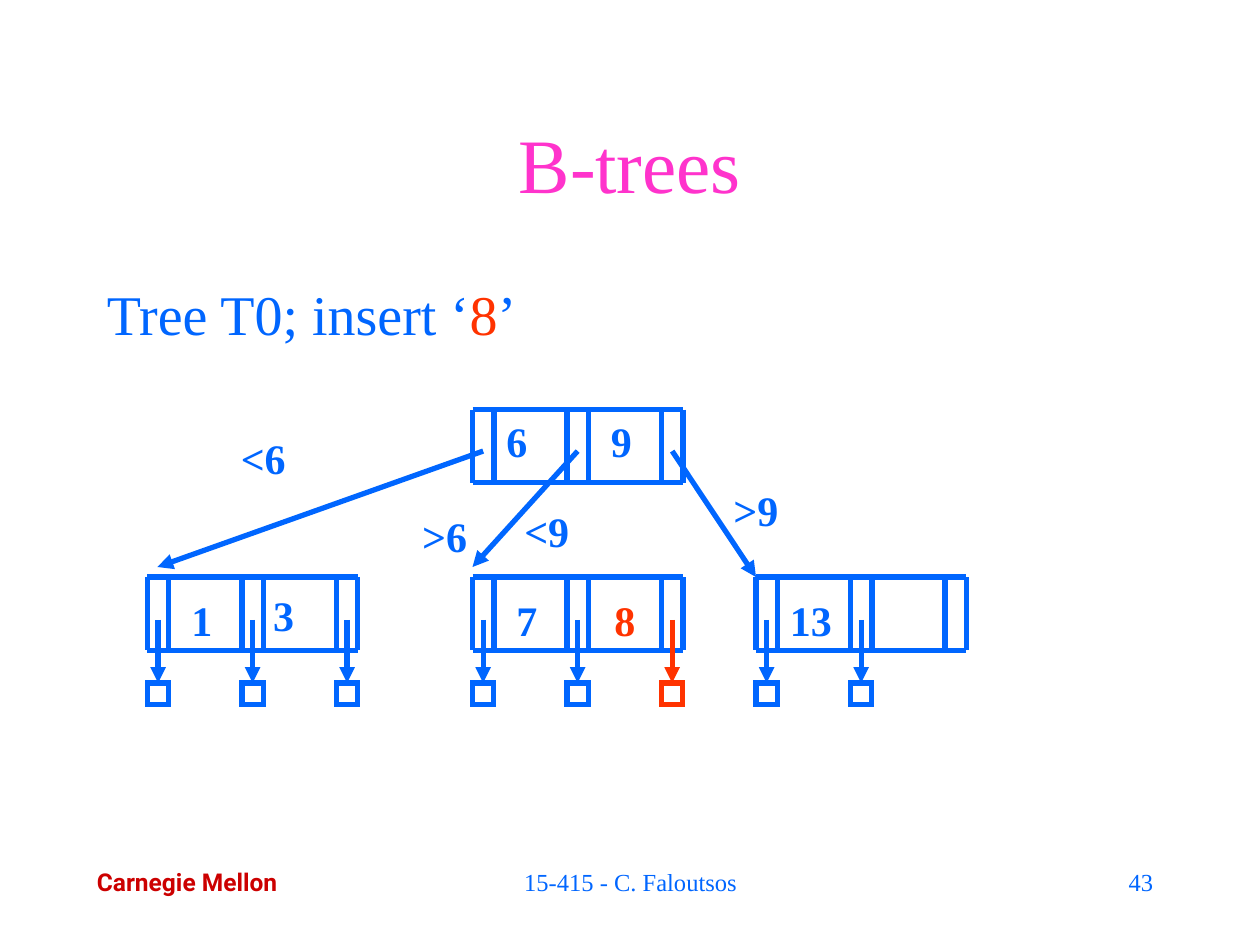
from dataclasses import dataclass

from lxml.etree import SubElement
from pptx import Presentation
from pptx.dml.color import RGBColor
from pptx.enum.shapes import MSO_CONNECTOR as Line, MSO_SHAPE as Shape
from pptx.enum.text import MSO_ANCHOR as Anchor, PP_ALIGN as Align
from pptx.oxml.ns import qn
from pptx.util import Inches, Pt


@dataclass(frozen=True)
class Theme:
    blue: str = "0066FF"
    red: str = "FF3300"
    pink: str = "FF33CC"
    crimson: str = "CC0000"
    white: str = "FFFFFF"
    serif: str = "Times New Roman"
    sans: str = "Roboto"
    title: int = 44
    body: int = 32
    key: int = 24
    footer: int = 14
    stroke: int = 3


THEME = Theme()

# Node geometry: three narrow pointer slots with two key cells between them
SLOT = Inches(0.17)
PITCH = Inches(0.75)
NODE_HEIGHT = Inches(0.58)
KEY_HEIGHT = Inches(0.5)
POINTER_DROP = Inches(0.34)
RECORD_DROP = Inches(0.84)
SLOTS = [PITCH * i for i in range(3)]
NODE_WIDTH = SLOTS[-1] + SLOT


def write(frame, runs, size=THEME.key, color=THEME.blue, font=THEME.serif,
          bold=False, align=Align.LEFT, anchor=Anchor.TOP, wrap=True):
    """Fill a text frame; runs is a string or a list of (text, color)."""
    frame.word_wrap = wrap
    frame.vertical_anchor = anchor
    frame.margin_left = frame.margin_right = Inches(0.1)
    frame.margin_top = frame.margin_bottom = Inches(0.05)
    paragraph = frame.paragraphs[0]
    paragraph.alignment = align
    paragraph.space_before = Pt(0)
    for words, run_color in [(runs, color)] if isinstance(runs, str) else runs:
        run = paragraph.add_run()
        run.text = words
        run.font.size = Pt(size)
        run.font.name = font
        run.font.bold = bold
        run.font.color.rgb = RGBColor.from_string(run_color)


def add_text(slide, box, runs, **style):
    write(slide.shapes.add_textbox(*box).text_frame, runs, **style)


def add_line(slide, start, end, color=THEME.blue, arrow=False):
    line = slide.shapes.add_connector(Line.STRAIGHT, *start, *end)
    line.line.color.rgb = RGBColor.from_string(color)
    line.line.width = Pt(THEME.stroke)
    if arrow:
        SubElement(line.line._get_or_add_ln(), qn("a:tailEnd"), type="triangle")
    SubElement(line._element.spPr, qn("a:effectLst"))
    return line


def add_title(slide, box):
    title = slide.shapes.title
    title.left, title.top, title.width, title.height = box
    write(title.text_frame, "B-trees", size=THEME.title, color=THEME.pink,
          align=Align.CENTER, anchor=Anchor.MIDDLE)


def add_node(slide, left, top, keys):
    """Draw one node; keys holds (text, x offset, y offset, width, color)."""
    right, bottom = left + NODE_WIDTH, top + NODE_HEIGHT
    for slot in SLOTS:
        for x in (left + slot, left + slot + SLOT):
            add_line(slide, (x, top), (x, bottom))
    for y in (top, bottom):
        add_line(slide, (left, y), (right, y))
    for key, dx, dy, width, color in keys:
        box = (left + Inches(dx), top + Inches(dy), Inches(width), KEY_HEIGHT)
        add_text(slide, box, key, color=color, bold=True, align=Align.CENTER,
                 wrap=False)


def add_records(slide, left, top, colors):
    """Hang one record below each used pointer slot of a leaf."""
    for slot, color in zip(SLOTS, colors):
        x = left + slot
        record = slide.shapes.add_shape(Shape.RECTANGLE, x, top + RECORD_DROP,
                                        SLOT, SLOT)
        record.shadow.inherit = False
        record.fill.solid()
        record.fill.fore_color.rgb = RGBColor.from_string(THEME.white)
        record.line.color.rgb = RGBColor.from_string(color)
        record.line.width = Pt(THEME.stroke)
        # Square corners
        SubElement(record.line._get_or_add_ln(), qn("a:miter"), lim="800000")
        middle = x + SLOT // 2
        pointer = add_line(slide, (middle, top + POINTER_DROP),
                           (middle, top + RECORD_DROP), color, arrow=True)
        pointer.end_connect(record, 0)


def add_tree(slide, left, top):
    blue, red = THEME.blue, THEME.red
    root_left, leaf_top = left + Inches(2.58), top + Inches(1.33)

    # Root
    add_node(slide, root_left, top,
             [("6", 0.17, 0, 0.36, blue), ("9", 1, 0, 0.36, blue)])

    # Leaves: x offset, keys, record colors
    leaves = [
        (0, [("1", 0.25, 0.09, 0.36, blue), ("3", 0.9, 0.05, 0.36, blue)],
         [blue] * 3),
        (2.58, [("7", 0.25, 0.09, 0.36, blue), ("8", 1, 0.09, 0.42, red)],
         [blue, blue, red]),
        (4.83, [("13", 0.17, 0.09, 0.53, blue)], [blue] * 2),
    ]
    for dx, keys, colors in leaves:
        add_node(slide, left + Inches(dx), leaf_top, keys)
        add_records(slide, left + Inches(dx), leaf_top, colors)

    # Branches from the root slots to the leaves
    ends = [(0.08, 1.25), (2.58, 1.25), (4.83, 1.33)]
    for slot, (dx, dy) in zip(SLOTS, ends):
        add_line(slide, (root_left + slot + SLOT // 2, top + Inches(0.33)),
                 (left + Inches(dx), top + Inches(dy)), arrow=True)

    # Branch conditions
    conditions = [("<6", 0.62, 0.13), (">6", 2.06, 0.75),
                  ("<9", 2.87, 0.71), (">9", 4.53, 0.55)]
    for condition, dx, dy in conditions:
        box = (left + Inches(dx), top + Inches(dy), Inches(0.6), KEY_HEIGHT)
        add_text(slide, box, condition, bold=True, align=Align.CENTER, wrap=False)


def add_footer(slide, top):
    parts = [
        ("Carnegie Mellon", 0.67, 1.81, dict(color=THEME.crimson, bold=True,
                                             font=THEME.sans, wrap=False)),
        ("15-415 - C. Faloutsos", 3.42, 3.17, dict(align=Align.CENTER)),
        ("43", 7.17, 2.08, dict(align=Align.RIGHT)),
    ]
    for words, left, width, style in parts:
        add_text(slide, (Inches(left), top, Inches(width), Inches(0.34)), words,
                 size=THEME.footer, **style)


def main():
    deck = Presentation()
    deck.slide_width, deck.slide_height = Inches(10), Inches(7.5)
    slide = deck.slides.add_slide(deck.slide_layouts[5])

    add_title(slide, (Inches(0.75), Inches(0.67), Inches(8.5), Inches(1.25)))
    add_text(slide, (Inches(0.75), Inches(2.17), Inches(8.5), Inches(0.67)),
             [("Tree T0; insert ‘", THEME.blue), ("8", THEME.red),
              ("’", THEME.blue)], size=THEME.body)
    add_tree(slide, Inches(1.17), Inches(3.25))
    add_footer(slide, Inches(6.83))

    deck.save("out.pptx")


if __name__ == "__main__":
    main()
